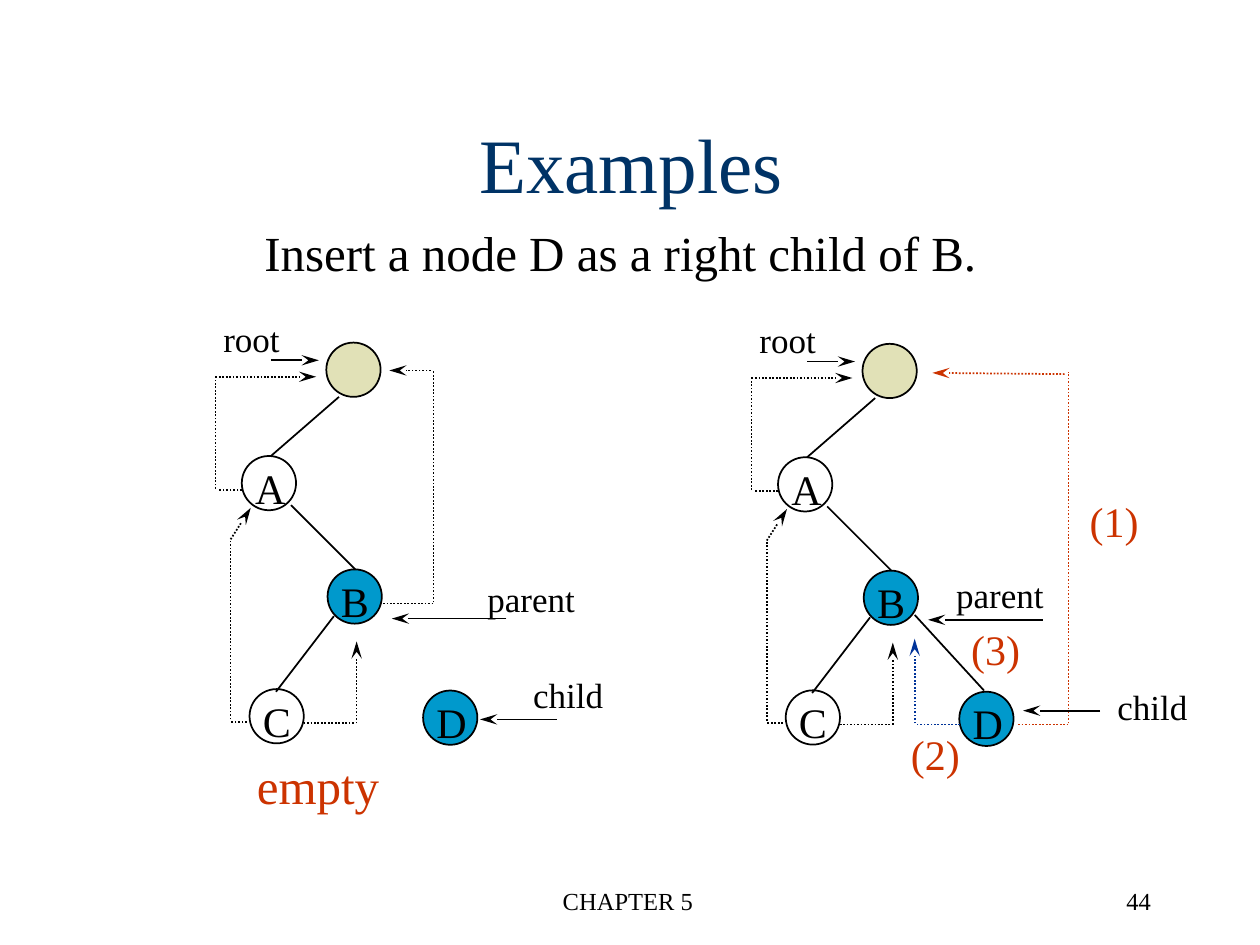
from pptx import Presentation
from pptx.dml.color import RGBColor
from pptx.enum.dml import MSO_LINE
from pptx.enum.shapes import MSO_CONNECTOR, MSO_SHAPE
from pptx.enum.text import MSO_ANCHOR, MSO_AUTO_SIZE, PP_ALIGN
from pptx.oxml.ns import qn
from pptx.util import Pt
from lxml import etree

LEFT, MID, RIGHT = PP_ALIGN.LEFT, PP_ALIGN.CENTER, PP_ALIGN.RIGHT
TOP, CENTER = MSO_ANCHOR.TOP, MSO_ANCHOR.MIDDLE
FIT, FIXED = MSO_AUTO_SIZE.SHAPE_TO_FIT_TEXT, MSO_AUTO_SIZE.NONE
DOTS, LINE, OVAL = MSO_LINE.ROUND_DOT, MSO_CONNECTOR.STRAIGHT, MSO_SHAPE.OVAL
FONT = "Times New Roman"
BLACK, NAVY, RED, BLUE = "000000", "003366", "CC3300", "003399"
SAND, TEAL = "E1E1B7", "0099CC"
SIZE = 31

NODES = [("", 66.5, 17.8, SAND), ("A", 18.2, 82.6, None), ("B", 67.2, 147.4, TEAL),
         ("C", 22.6, 215.8, None), ("D", 121.8, 216.6, TEAL)]
EDGES = [(73.7, 48.8, 34.8, 82.6), (46.3, 110.7, 83, 147.4), (70.8, 174.1, 37.7, 217.3)]
THREADS = [
    [(53.5, 235.3, 82.3, 235.3), (83.8, 235.3, 83.8, 188.5)],
    [(21.1, 234.6, 11.8, 234.6), (11.8, 233.1, 11.8, 130.2), (11.8, 130.2, 23.3, 112.2)],
    [(18.2, 102.1, 4.6, 102.1), (3.1, 101.4, 3.1, 36.6), (3.1, 37.3, 60.7, 37.3)],
]
POINTERS = [(34.8, 27.9, 62.2, 27.9), (169.4, 175.5, 103.9, 175.5)]


def color(code):
    """Turn a hex string into a colour."""
    return RGBColor.from_string(code)


def write(frame, text, size=24, ink=BLACK, align=LEFT, anchor=TOP, wrap=False):
    """Fill a text frame with one formatted paragraph."""
    frame.word_wrap = wrap
    frame.auto_size = FIXED if wrap else FIT
    frame.vertical_anchor = anchor
    frame.margin_left = frame.margin_right = Pt(7.2)
    frame.margin_top = frame.margin_bottom = Pt(3.6)
    para = frame.paragraphs[0]
    para.alignment = align
    run = para.add_run()
    run.text = text
    run.font.name, run.font.size = FONT, Pt(size)
    run.font.color.rgb = color(ink)


def label(slide, text, x, y, wide, high, **style):
    """Add a text box."""
    box = slide.shapes.add_textbox(Pt(x), Pt(y), Pt(wide), Pt(high))
    write(box.text_frame, text, **style)


def node(slide, text, x, y, fill):
    """Add a tree node with its letter."""
    ring = slide.shapes.add_shape(OVAL, Pt(x), Pt(y), Pt(SIZE), Pt(SIZE))
    ring.shadow.inherit = False
    ring.line.color.rgb, ring.line.width = color(BLACK), Pt(1)
    if fill:
        ring.fill.solid()
        ring.fill.fore_color.rgb = color(fill)
    else:
        ring.fill.background()
    if text:
        label(slide, text, x + 0.5, y, 31, 36)


def stroke(slide, x, y, ends, ink=BLACK, dots=False, arrow=False):
    """Draw a line between two ends measured from x, y."""
    ax, ay, bx, by = ends
    line = slide.shapes.add_connector(LINE, Pt(x + ax), Pt(y + ay), Pt(x + bx), Pt(y + by))
    line.line.color.rgb, line.line.width = color(ink), Pt(1)
    if dots:
        line.line.dash_style = DOTS
    if arrow:
        tip = etree.SubElement(line.get_or_add_ln(), qn("a:tailEnd"))
        tip.set("type", "stealth")
        tip.set("len", "lg")
    etree.SubElement(line.element.spPr, qn("a:effectLst"))


def thread(slide, x, y, parts, ink=BLACK):
    """Draw a dotted path with an arrowhead on its last part."""
    for part in parts:
        stroke(slide, x, y, part, ink, dots=True, arrow=part is parts[-1])


def tree(slide, x, y):
    """Draw the parts that both trees share."""
    for text, dx, dy, fill in NODES:
        node(slide, text, x + dx, y + dy, fill)
    for edge in EDGES:
        stroke(slide, x, y, edge)
    for parts in THREADS:
        thread(slide, x, y, parts)
    for ends in POINTERS:
        stroke(slide, x, y, ends, arrow=True)
    label(slide, "root", x + 0.5, y, 48, 31, size=20)


def before(slide, x, y):
    """Draw the tree before D is inserted."""
    tree(slide, x, y)
    thread(slide, x, y, [(98.9, 166.9, 127, 166.9), (127.7, 166.2, 127.7, 33.7),
                         (126.2, 33.7, 102.5, 33.7)])
    stroke(slide, x, y, (198.2, 233.1, 154.3, 233.1), arrow=True)
    label(slide, "parent", x + 151.4, y + 148.2, 66, 31, size=20)
    label(slide, "child", x + 177.6, y + 203.6, 56, 31, size=20)
    label(slide, "empty", x + 19.7, y + 250.4, 90, 41, size=28, ink=RED)


def after(slide, x, y):
    """Draw the tree after D is inserted."""
    tree(slide, x, y)
    thread(slide, x, y, [(155.4, 235.3, 183.4, 235.3), (184.2, 234.6, 184.2, 33.7),
                         (182, 35.1, 106.4, 34.4)], RED)
    thread(slide, x, y, [(122.2, 235.3, 97, 235.3), (96.3, 234.6, 96.3, 186.3)], BLUE)
    stroke(slide, x, y, (96.3, 172.7, 135.9, 215.9))
    stroke(slide, x, y, (202.2, 227.4, 158.2, 227.4), arrow=True)
    label(slide, "parent", x + 112.9, y + 145.3, 66, 31, size=20)
    label(slide, "child", x + 205, y + 209.4, 56, 31, size=20)
    for text, dx, dy in [("(1)", 189.2, 100.7), ("(2)", 87, 233.9), ("(3)", 121.5, 174.1)]:
        label(slide, text, x + dx, y + dy, 43, 36, ink=RED)


def header(slide, x, y, wide, high):
    """Place the title and the line below it."""
    title = slide.shapes.title
    title.left, title.top, title.width, title.height = Pt(x), Pt(y), Pt(wide), Pt(high)
    write(title.text_frame, "Examples", size=44, ink=NAVY, align=MID, anchor=CENTER, wrap=True)
    label(slide, "Insert a node D as a right child of B.", x + 134.5, y + 75.6, 440, 41,
          size=28, align=MID)


def footer(slide, x, y, high):
    """Place the chapter and the page number."""
    label(slide, "CHAPTER 5", x, y, 228, high, size=14, align=MID, wrap=True)
    label(slide, "44", x + 270, y, 150, high, size=14, align=RIGHT, wrap=True)


def main():
    """Build the slide."""
    deck = Presentation()
    deck.slide_width, deck.slide_height = Pt(720), Pt(540)
    slide = deck.slides.add_slide(deck.slide_layouts[5])
    header(slide, 0, 48.2, 721.4, 90)
    before(slide, 120, 178)
    after(slide, 426.4, 178.7)
    footer(slide, 244.8, 502.6, 36)
    deck.save("out.pptx")


if __name__ == "__main__":
    main()
